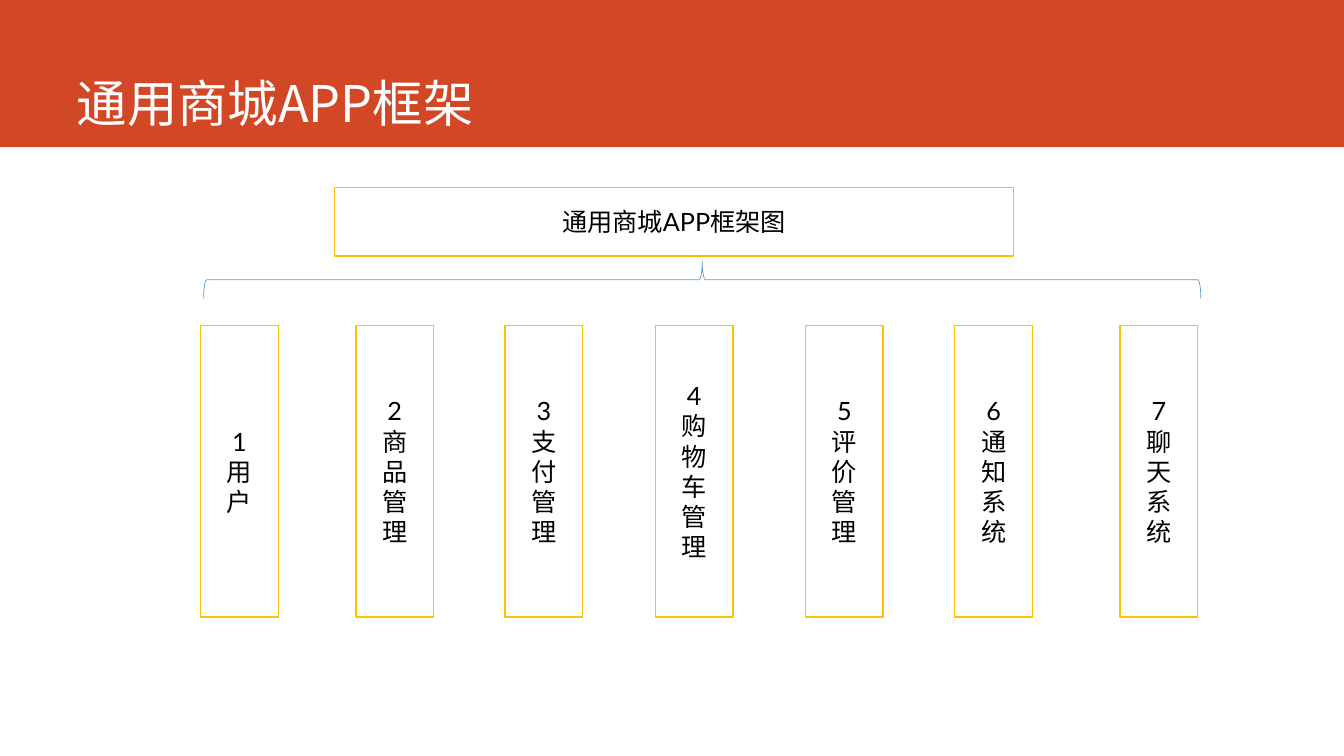
from pptx import Presentation
from pptx.dml.color import RGBColor
from pptx.enum.shapes import MSO_SHAPE
from pptx.enum.text import MSO_ANCHOR, PP_ALIGN
from pptx.oxml.ns import qn
from pptx.util import Inches, Pt

COLORS = {
    "band": "D24726",
    "white": "FFFFFF",
    "gold": "FFC000",
    "blue": "5B9BD5",
    "black": "000000",
}
MODULES = [
    (1.99, "1用户"),
    (3.53, "2商品管理"),
    (5.01, "3支付管理"),
    (6.5, "4购物车管理"),
    (7.99, "5评价管理"),
    (9.47, "6通知系统"),
    (11.11, "7聊天系统"),
]


def rgb(name):
    return RGBColor.from_string(COLORS[name])


def style_text(tf, font, size, color, align):
    for p in tf.paragraphs:
        p.alignment = align
        for r in p.runs:
            r.font.name = font
            r.font.size = Pt(size)
            r.font.color.rgb = rgb(color)
            ea = r.font._element.makeelement(qn("a:ea"), {"typeface": font})
            r.font._element.append(ea)


def add_shape(slide, kind, left, top, width, height, fill=None, line=None, weight=1):
    sp = slide.shapes.add_shape(
        kind, Inches(left), Inches(top), Inches(width), Inches(height))
    sp.shadow.inherit = False
    if fill:
        sp.fill.solid()
        sp.fill.fore_color.rgb = rgb(fill)
    else:
        sp.fill.background()
    if line:
        sp.line.color.rgb = rgb(line)
        sp.line.width = Pt(weight)
    else:
        sp.line.fill.background()
    return sp


def add_box(slide, left, top, width, height, text):
    sp = add_shape(slide, MSO_SHAPE.RECTANGLE, left, top, width, height, "white", "gold")
    tf = sp.text_frame
    tf.text = text
    tf.word_wrap = True
    tf.vertical_anchor = MSO_ANCHOR.MIDDLE
    style_text(tf, "Lato", 18, "black", PP_ALIGN.CENTER)


def add_title(slide, text):
    band = add_shape(slide, MSO_SHAPE.RECTANGLE, 0, 0, 13.33, 1.46, "band")
    title = slide.shapes.title
    title._element.addprevious(band._element)
    title.left, title.top = Inches(0.66), Inches(0)
    title.width, title.height = Inches(11.76), Inches(1.32)
    tf = title.text_frame
    tf.text = text
    tf.margin_bottom = 0
    tf.vertical_anchor = MSO_ANCHOR.BOTTOM
    style_text(tf, "Noto Sans CJK SC", 36, "white", PP_ALIGN.LEFT)


def main():
    """Build the shop app framework slide."""
    prs = Presentation()
    prs.slide_width, prs.slide_height = Inches(13.33), Inches(7.5)
    slide = prs.slides.add_slide(prs.slide_layouts[5])
    add_title(slide, "通用商城APP框架")
    add_box(slide, 3.32, 1.86, 6.73, 0.68, "通用商城APP框架图")
    brace = add_shape(slide, MSO_SHAPE.LEFT_BRACE, 6.78, -2.17, 0.37, 9.89,
                      line="blue", weight=0.5)
    brace.rotation = 90
    for left, name in MODULES:
        add_box(slide, left, 3.23, 0.77, 2.89, "\n".join(name))
    prs.save("out.pptx")


main()
